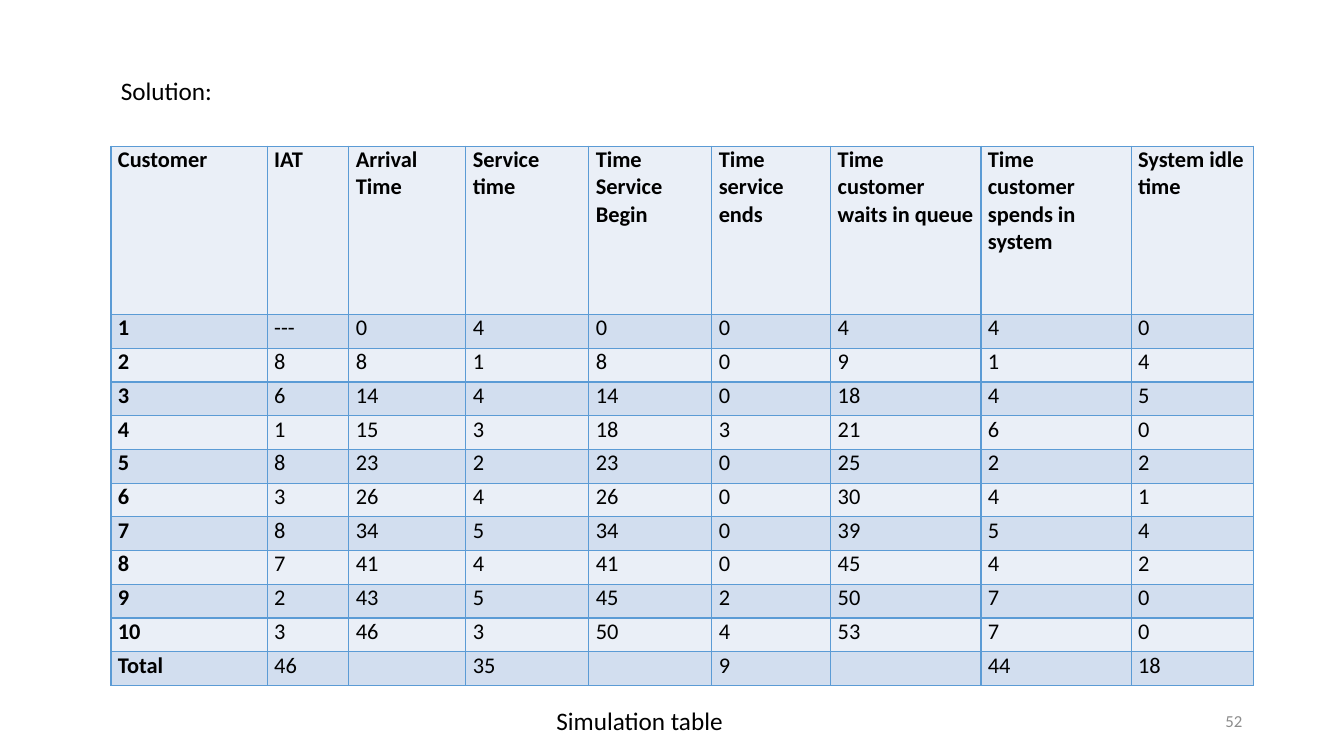
"""Build a queue simulation table slide."""
from dataclasses import dataclass

from lxml import etree
from pptx import Presentation
from pptx import util as u
from pptx.dml.color import RGBColor
from pptx.enum import text
from pptx.oxml import ns


@dataclass(frozen=True)
class Theme:
    face: str = "Calibri"
    ink: str = "000000"
    gray: str = "8C8C8C"
    edge: str = "5B9BD5"
    bands: tuple[str, str] = ("EAEFF7", "D2DEEF")
    body: int = 18
    grid: int = 16
    small: int = 12


@dataclass(frozen=True)
class Label:
    words: str
    left: float
    top: float
    width: float
    size: int
    color: str
    wrap: bool = False
    align: text.PP_ALIGN = text.PP_ALIGN.LEFT
    anchor: text.MSO_ANCHOR = text.MSO_ANCHOR.TOP


THEME = Theme()
LABELS = (
    Label("Solution:", 1.1, 0.7, 1.18, THEME.body, THEME.ink),
    Label("Simulation table", 5.42, 6.95, 1.87, THEME.body, THEME.ink),
    Label("52", 9.42, 6.95, 3, THEME.small, THEME.gray, True,
          text.PP_ALIGN.RIGHT, text.MSO_ANCHOR.MIDDLE),
)
WIDTHS = (1.55, 0.81, 1.16, 1.22, 1.22, 1.18, 1.49, 1.49, 1.21)
HEAD_HIGH, ROW_HIGH = 1.67, 0.335
ROWS = (
    ("Customer", "IAT", "Arrival Time", "Service time", "Time Service Begin",
     "Time service ends", "Time customer waits in queue",
     "Time customer spends in system", "System idle time"),
    ("1", "---", "0", "4", "0", "0", "4", "4", "0"),
    ("2", "8", "8", "1", "8", "0", "9", "1", "4"),
    ("3", "6", "14", "4", "14", "0", "18", "4", "5"),
    ("4", "1", "15", "3", "18", "3", "21", "6", "0"),
    ("5", "8", "23", "2", "23", "0", "25", "2", "2"),
    ("6", "3", "26", "4", "26", "0", "30", "4", "1"),
    ("7", "8", "34", "5", "34", "0", "39", "5", "4"),
    ("8", "7", "41", "4", "41", "0", "45", "4", "2"),
    ("9", "2", "43", "5", "45", "2", "50", "7", "0"),
    ("10", "3", "46", "3", "50", "4", "53", "7", "0"),
    ("Total", "46", "", "35", "", "9", "", "44", "18"),
)


def style(para, size: int, color: str, bold: bool = False) -> None:
    """Set the font of a paragraph."""
    font = para.font
    font.name, font.size, font.bold = THEME.face, u.Pt(size), bold
    font.color.rgb = RGBColor.from_string(color)


def write(slide, label: Label) -> None:
    """Draw one label as a text box."""
    box = slide.shapes.add_textbox(u.Inches(label.left), u.Inches(label.top),
                                   u.Inches(label.width), u.Inches(0.4))
    frame = box.text_frame
    frame.word_wrap = label.wrap
    frame.vertical_anchor = label.anchor
    para = frame.paragraphs[0]
    para.text, para.alignment = label.words, label.align
    style(para, label.size, label.color)


def border(cell) -> None:
    """Line all four sides of a cell."""
    props = cell._tc.get_or_add_tcPr()
    for side in ("lnL", "lnR", "lnT", "lnB"):
        line = etree.SubElement(props, ns.qn(f"a:{side}"), w=str(u.Pt(1)))
        fill = etree.SubElement(line, ns.qn("a:solidFill"))
        etree.SubElement(fill, ns.qn("a:srgbClr"), val=THEME.edge)


def fill_cell(cell, words: str, band: str, bold: bool) -> None:
    """Write and paint one table cell."""
    cell.margin_left = cell.margin_right = u.Inches(0.07)
    cell.margin_top = cell.margin_bottom = 0
    border(cell)
    cell.fill.solid()
    cell.fill.fore_color.rgb = RGBColor.from_string(band)
    para = cell.text_frame.paragraphs[0]
    para.text = words
    style(para, THEME.grid, THEME.ink, bold)


def tabulate(slide) -> None:
    """Draw the simulation table."""
    highs = [HEAD_HIGH] + [ROW_HIGH] * (len(ROWS) - 1)
    table = slide.shapes.add_table(
        len(ROWS), len(WIDTHS), u.Inches(1.1), u.Inches(1.45),
        u.Inches(sum(WIDTHS)), u.Inches(sum(highs))).table
    table.first_row = table.horz_banding = False
    for col, width in zip(table.columns, WIDTHS):
        col.width = u.Inches(width)
    for r, (row, high) in enumerate(zip(ROWS, highs)):
        table.rows[r].height = u.Inches(high)
        for c, words in enumerate(row):
            fill_cell(table.cell(r, c), words, THEME.bands[r % 2],
                      r == 0 or c == 0)


def main() -> None:
    """Build and save the slide."""
    deck = Presentation()
    deck.slide_width, deck.slide_height = u.Inches(13.33), u.Inches(7.5)
    slide = deck.slides.add_slide(deck.slide_layouts[6])
    tabulate(slide)
    for label in LABELS:
        write(slide, label)
    deck.save("out.pptx")


if __name__ == "__main__":
    main()
